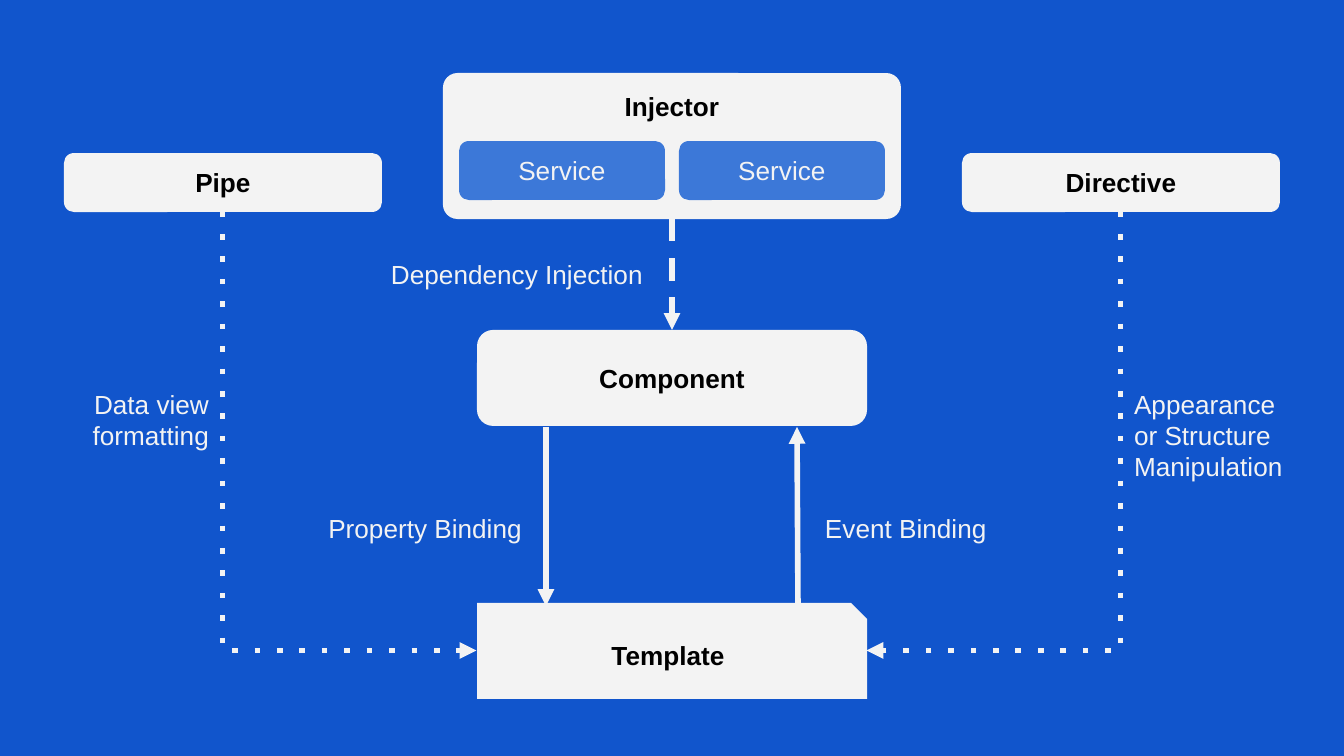
from dataclasses import dataclass

import pptx
import pptx.dml.color
import pptx.enum.shapes
import pptx.enum.text
import pptx.oxml.ns
import pptx.oxml.xmlchemy
import pptx.util
from lxml import etree

RGBColor = pptx.dml.color.RGBColor
BLUE = RGBColor(0x11, 0x55, 0xCC)
LIGHT_BLUE = RGBColor(0x3C, 0x78, 0xD8)
PALE = RGBColor(0xF3, 0xF3, 0xF3)
BLACK = RGBColor(0, 0, 0)

SHAPE = pptx.enum.shapes.MSO_SHAPE
ALIGN = pptx.enum.text.PP_ALIGN
ANCHOR = pptx.enum.text.MSO_ANCHOR
PX_PER_INCH = 134.4
INSET = 13


def px(n: int) -> int:
    return pptx.util.Inches(n / PX_PER_INCH)


@dataclass
class Box:
    text: str
    left: int
    top: int
    width: int
    height: int
    fill: RGBColor = PALE
    color: RGBColor = BLACK
    bold: bool = True
    kind: int = SHAPE.ROUNDED_RECTANGLE
    corner: float = 0.167
    anchor: int = ANCHOR.MIDDLE


@dataclass
class Label:
    text: str
    left: int
    top: int
    width: int
    height: int
    align: int = ALIGN.LEFT


@dataclass
class Arrow:
    x1: int
    y1: int
    x2: int
    y2: int
    dash: str = "solid"
    elbow: bool = False


NODES = [
    Box("Component", 477, 330, 390, 96),
    Box("Template", 477, 603, 390, 96, kind=SHAPE.SNIP_1_RECTANGLE),
    Box("Directive", 962, 153, 318, 59),
    Box("Pipe", 64, 153, 318, 59),
]
INJECTOR = [Box("Injector", 443, 73, 458, 146, corner=0.1, anchor=ANCHOR.TOP)] + [
    Box("Service", left, 141, 206, 59, LIGHT_BLUE, PALE, bold=False)
    for left in (459, 679)
]
ARROWS = [
    Arrow(546, 427, 546, 606),
    Arrow(798, 606, 797, 427),
    Arrow(672, 219, 672, 330, "dash"),
    Arrow(1121, 212, 867, 651, "dot", elbow=True),
    Arrow(223, 212, 477, 651, "dot", elbow=True),
]
LABELS = [
    Label("Dependency Injection", 339, 245, 317, 59, ALIGN.RIGHT),
    Label("Property Binding", 314, 499, 221, 59, ALIGN.RIGHT),
    Label("Event Binding", 812, 499, 196, 59),
    Label("Appearance or Structure Manipulation", 1121, 375, 181, 124),
    Label("Data view formatting", 41, 375, 181, 86, ALIGN.RIGHT),
]


def write(sp, text: str, *, color: RGBColor = PALE, bold: bool = False,
          align: int = ALIGN.CENTER, anchor: int = ANCHOR.TOP) -> None:
    tf = sp.text_frame
    tf.word_wrap = True
    tf.vertical_anchor = anchor
    tf.margin_left = tf.margin_right = tf.margin_top = tf.margin_bottom = px(INSET)
    p = tf.paragraphs[0]
    p.alignment = align
    r = p.add_run()
    r.text = text
    r.font.name = "Arial"
    r.font.size = pptx.util.Pt(14)
    r.font.bold = bold
    r.font.color.rgb = color


def draw_box(shapes, box: Box) -> None:
    sp = shapes.add_shape(box.kind, px(box.left), px(box.top),
                          px(box.width), px(box.height))
    sp.adjustments[0] = box.corner
    sp.shadow.inherit = False
    sp.fill.solid()
    sp.fill.fore_color.rgb = box.fill
    sp.line.fill.background()
    write(sp, box.text, color=box.color, bold=box.bold, anchor=box.anchor)


def draw_label(shapes, label: Label) -> None:
    sp = shapes.add_textbox(px(label.left), px(label.top),
                            px(label.width), px(label.height))
    write(sp, label.text, align=label.align)


def bend(sp, arrow: Arrow) -> None:
    """Turn a connector into one corner that runs down first, then sideways."""
    w, h = abs(arrow.x2 - arrow.x1), abs(arrow.y2 - arrow.y1)
    # The unrotated frame is the bounding box with its sides swapped.
    sp.left = px((arrow.x1 + arrow.x2 - h) // 2)
    sp.top = px((arrow.y1 + arrow.y2 - w) // 2)
    sp.width, sp.height = px(h), px(w)
    spPr = sp._element.spPr
    spPr.find(pptx.oxml.ns.qn("a:prstGeom")).set("prst", "bentConnector2")
    xfrm = spPr.find(pptx.oxml.ns.qn("a:xfrm"))
    rightward = arrow.x2 > arrow.x1
    xfrm.set("rot", str((270 if rightward else 90) * 60000))
    xfrm.set("flipH", str(int(rightward)))


def draw_arrow(shapes, arrow: Arrow) -> None:
    kinds = pptx.enum.shapes.MSO_CONNECTOR
    sp = shapes.add_connector(kinds.ELBOW if arrow.elbow else kinds.STRAIGHT,
                              px(arrow.x1), px(arrow.y1), px(arrow.x2), px(arrow.y2))
    if arrow.elbow:
        bend(sp, arrow)
    sp.line.width = pptx.util.Pt(3)
    sp.line.color.rgb = PALE
    qn = pptx.oxml.ns.qn
    spPr = sp._element.spPr
    ln = spPr.find(qn("a:ln"))
    etree.SubElement(ln, qn("a:prstDash")).set("val", arrow.dash)
    etree.SubElement(ln, qn("a:tailEnd")).set("type", "triangle")
    etree.SubElement(spPr, qn("a:effectLst"))


def main() -> None:
    prs = pptx.Presentation()
    prs.slide_width, prs.slide_height = px(1344), px(756)
    s = prs.slides.add_slide(prs.slide_layouts[6])
    s.background.fill.solid()
    s.background.fill.fore_color.rgb = BLUE

    for box in NODES:
        draw_box(s.shapes, box)
    group = s.shapes.add_group_shape()
    for box in INJECTOR:
        draw_box(group.shapes, box)
    for arrow in ARROWS:
        draw_arrow(s.shapes, arrow)
    for label in LABELS:
        draw_label(s.shapes, label)
    prs.save("out.pptx")


if __name__ == "__main__":
    main()
